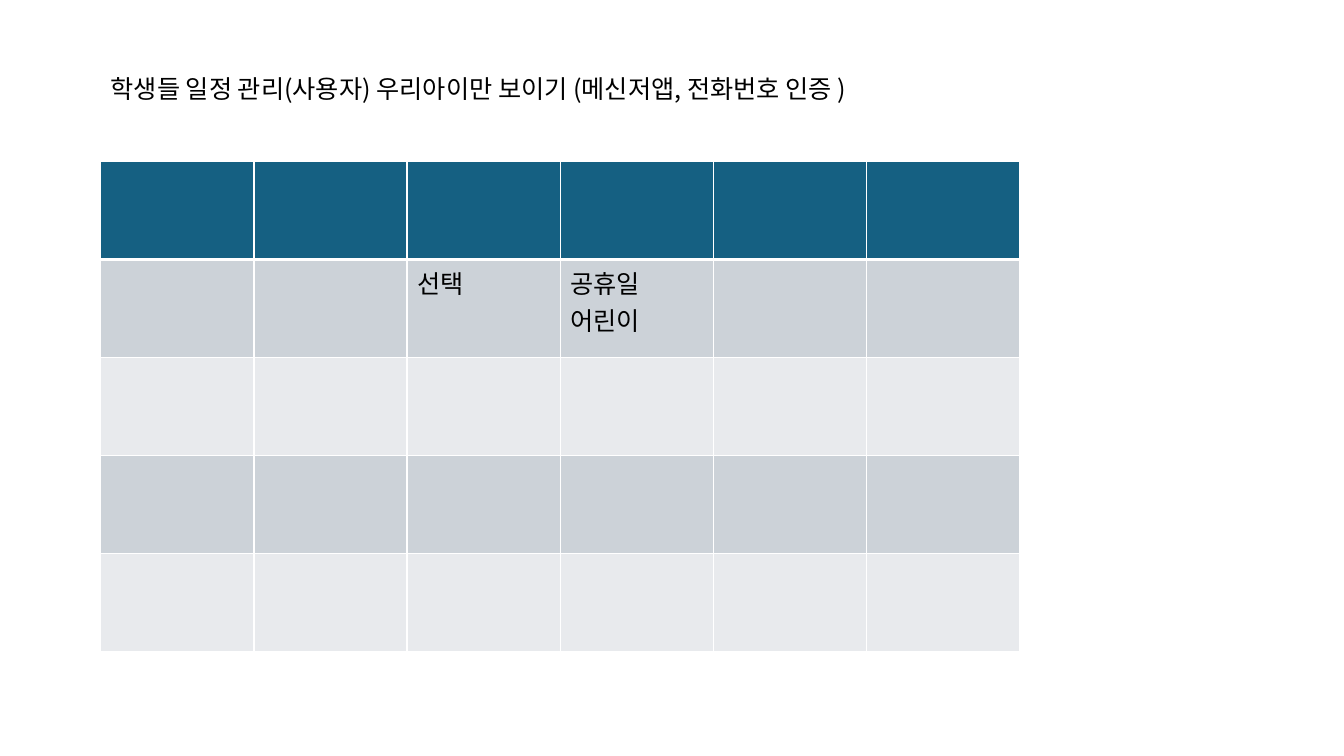
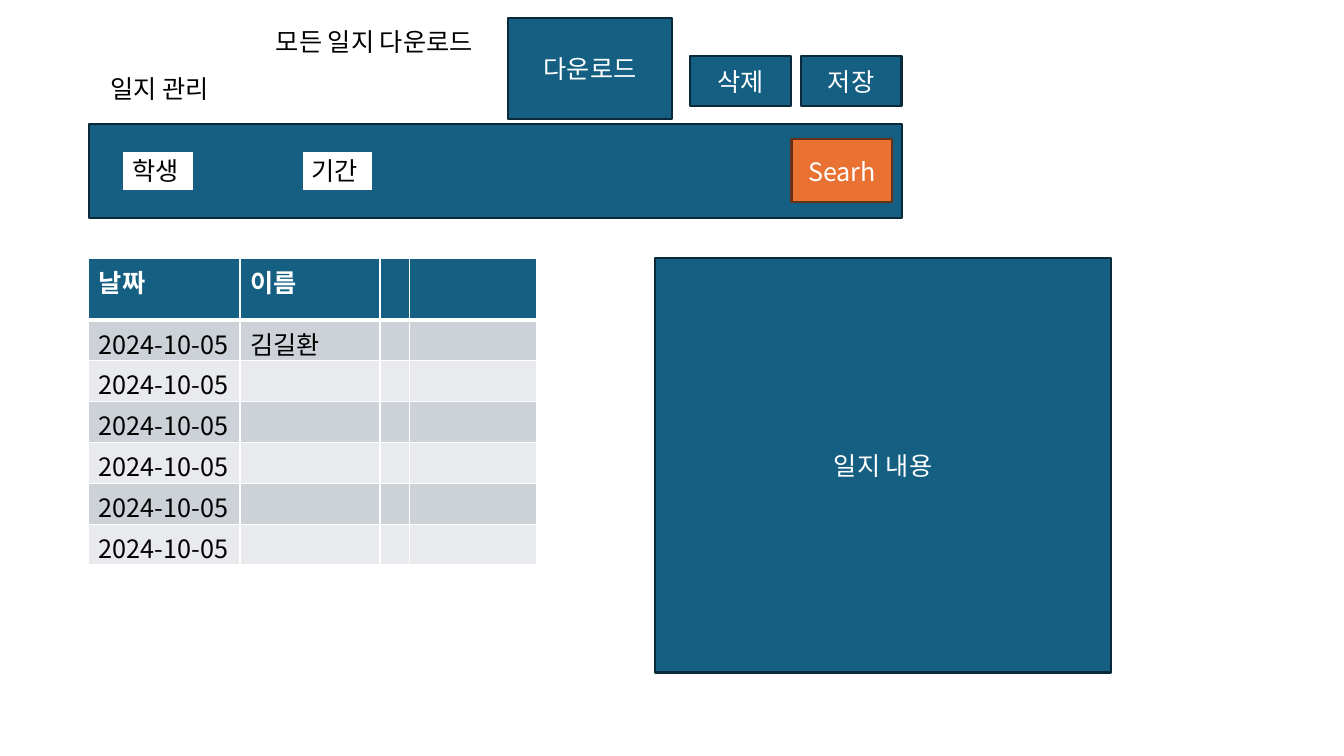
from pptx import Presentation
from pptx.dml.color import RGBColor
from pptx.enum import shapes, text
from pptx.oxml import ns
from pptx.util import Pt
from lxml import etree

# Shared look
FONT = "Noto Sans CJK KR"
BLACK = RGBColor(0x00, 0x00, 0x00)
WHITE = RGBColor(0xFF, 0xFF, 0xFF)
BLUE = RGBColor(0x15, 0x60, 0x82)
NAVY = RGBColor(0x09, 0x2A, 0x39)
ORANGE = RGBColor(0xE9, 0x71, 0x32)
BROWN = RGBColor(0x66, 0x32, 0x16)
BAND_DARK = RGBColor(0xCC, 0xD2, 0xD8)
BAND_LIGHT = RGBColor(0xE8, 0xEA, 0xED)


def write(frame, lines, color, bold=False, align=None):
    """Fill a text frame with one paragraph per line."""
    for index, line in enumerate(lines):
        para = frame.paragraphs[0] if index == 0 else frame.add_paragraph()
        para.alignment = align
        span = para.add_run()
        span.text = line
        span.font.size = Pt(18)
        span.font.name = FONT
        span.font.bold = bold
        span.font.color.rgb = color
        east_asian = etree.SubElement(span.font._element, ns.qn("a:ea"))
        east_asian.set("typeface", FONT)


def add_label(page, left, top, width, words, wrap=False):
    box = page.shapes.add_textbox(Pt(left), Pt(top), Pt(width), Pt(29))
    box.text_frame.word_wrap = wrap
    box.text_frame.auto_size = text.MSO_AUTO_SIZE.SHAPE_TO_FIT_TEXT
    write(box.text_frame, [words], BLACK)
    return box


def add_title(page, words):
    add_label(page, 72, 49, 632, words, wrap=True)


def add_field(page, left, top, words):
    """White, outlined label of a search field."""
    box = add_label(page, left, top, 51, words)
    box.fill.solid()
    box.fill.fore_color.rgb = WHITE
    box.line.color.rgb = BLUE
    box.line.width = Pt(1.5)


def add_block(page, left, top, width, height, words="", fill=BLUE, line=NAVY):
    """Outlined rectangle with centred white text."""
    block = page.shapes.add_shape(shapes.MSO_SHAPE.RECTANGLE,
                                  Pt(left), Pt(top), Pt(width), Pt(height))
    block.shadow.inherit = False
    block.fill.solid()
    block.fill.fore_color.rgb = fill
    block.line.color.rgb = line
    block.line.width = Pt(1.5)
    if words:
        block.text_frame.vertical_anchor = text.MSO_ANCHOR.MIDDLE
        write(block.text_frame, [words], WHITE, align=text.PP_ALIGN.CENTER)


def add_borders(cell, widths):
    """White cell borders; widths go left, right, top, bottom."""
    props = cell._tc.get_or_add_tcPr()
    for index, (side, width) in enumerate(zip("LRTB", widths)):
        line = etree.Element(ns.qn(f"a:ln{side}"), w=str(Pt(width)))
        fill = etree.SubElement(line, ns.qn("a:solidFill"))
        etree.SubElement(fill, ns.qn("a:srgbClr"), val=str(WHITE))
        props.insert(index, line)


def add_grid(page, left, top, widths, heights, words):
    """Banded table; words maps (row, column) to the lines of a cell."""
    frame = page.shapes.add_table(len(heights), len(widths), Pt(left), Pt(top),
                                  Pt(sum(widths)), Pt(sum(heights)))
    table = frame.table
    for column, width in zip(table.columns, widths):
        column.width = Pt(width)
    for r, height in enumerate(heights):
        table.rows[r].height = Pt(height)
        header = r == 0
        for c in range(len(widths)):
            cell = table.cell(r, c)
            cell.margin_bottom = 0
            cell.fill.solid()
            cell.fill.fore_color.rgb = (
                BLUE if header else BAND_DARK if r % 2 else BAND_LIGHT)
            add_borders(cell, (1, 1, 3 if r == 1 else 1, 3 if header else 1))
            write(cell.text_frame, words.get((r, c), []),
                  WHITE if header else BLACK, bold=header)


def add_search_bar(page, left, top, width, height):
    add_block(page, left, top, width, height)
    for offset, words in ((24, "학생"), (152, "기간")):
        add_field(page, left + offset, top + 19, words)
    add_block(page, left + width - 79, top + 11, 72, 45, "Searh", ORANGE, BROWN)


def add_buttons(page, left, top):
    """Download, delete and save buttons with the download caption."""
    add_label(page, left, top + 2, 173, "모든 일지 다운로드")
    add_block(page, left + 173, top, 117, 72, "다운로드")
    for index, words in enumerate(("삭제", "저장")):
        add_block(page, left + 303 + index * 79, top + 27, 72, 36, words)


def build_calendar(page):
    add_title(page, "학생들 일정 관리(사용자) 우리아이만 보이기 (메신저앱, 전화번호 인증 )")
    add_grid(page, 72, 115.4, [109.4] * 6, [70] * 5,
             {(1, 2): ["선택"], (1, 3): ["공휴일", "어린이"]})


def build_journal(page):
    add_search_bar(page, 63.4, 88.6, 581, 67)
    add_title(page, "일지 관리")
    entries = {(r, 0): ["2024-10-05"] for r in range(1, 7)}
    entries.update({(0, 0): ["날짜"], (0, 1): ["이름"], (1, 1): ["김길환"]})
    add_grid(page, 63.4, 184.4, [108, 100, 21, 91], [44] + [29.2] * 6, entries)
    add_block(page, 468, 184.4, 325.6, 296, "일지 내용")
    add_buttons(page, 190, 13)


def main():
    deck = Presentation()
    deck.slide_width, deck.slide_height = Pt(960), Pt(540)
    for build in (build_calendar, build_journal):
        build(deck.slides.add_slide(deck.slide_layouts[6]))
    deck.save("out.pptx")


if __name__ == "__main__":
    main()
